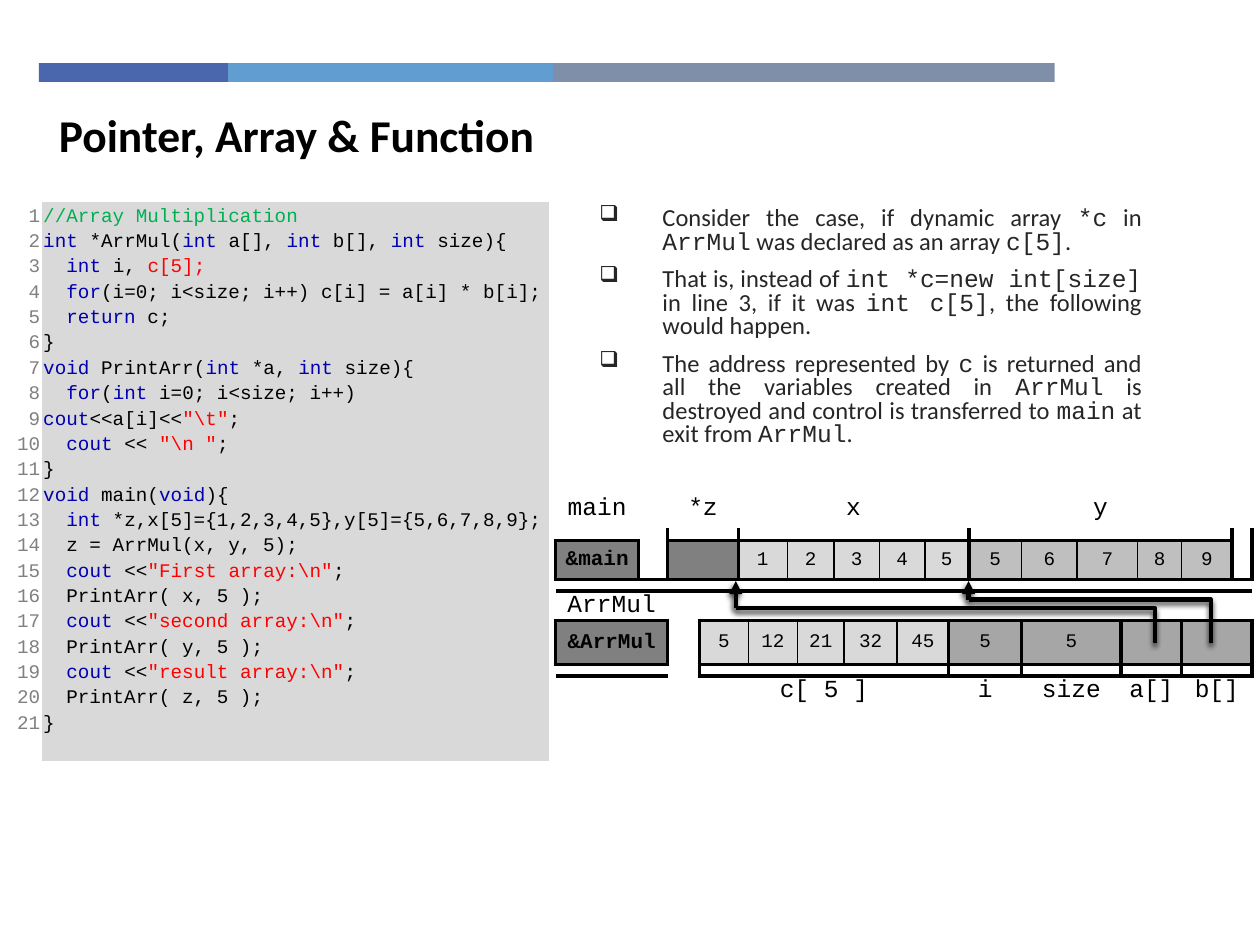
"""Builds the slide on returning a local array from a function."""
from lxml import etree
from pptx import Presentation
from pptx.dml.color import RGBColor
from pptx.enum.shapes import MSO_CONNECTOR, MSO_SHAPE
from pptx.enum.text import MSO_ANCHOR, PP_ALIGN
from pptx.oxml.ns import qn
from pptx.util import Pt

RECTANGLE = MSO_SHAPE.RECTANGLE
STRAIGHT, ELBOW = MSO_CONNECTOR.STRAIGHT, MSO_CONNECTOR.ELBOW
TOP, MIDDLE = MSO_ANCHOR.TOP, MSO_ANCHOR.MIDDLE
LEFT, CENTER, RIGHT, JUSTIFY = PP_ALIGN.LEFT, PP_ALIGN.CENTER, PP_ALIGN.RIGHT, PP_ALIGN.JUSTIFY
NO_GRID = "{2D5ABB26-0587-4C30-8999-92F81FD0307C}"
SANS, MONO = "Calibri", "Courier New"
BLACK, GRAY, BODY = "000000", "808080", "262626"
GREEN, BLUE, RED = "00B050", "0000B0", "FF0000"
X_FILL, Y_FILL, ARG_FILL = "D9D9D9", "BFBFBF", "A6A6A6"
KEYWORDS = {"int", "for", "return", "void", "cout"}

BARS = [(108, "4A66AC"), (185.8, "629DD1"), (286.6, "7F8FA9")]

POINTS = [
    "Consider the case, if dynamic array |*c| in |ArrMul| was declared as an array |c[5]|. ",
    "That is, instead of |int *c=new int[size] |in line 3, if it was |int c[5]|, the following would happen.",
    "The address represented by |c| is returned and all the variables created in |ArrMul"
    "| is destroyed and control is transferred to |main| at exit from |ArrMul|. ",
]

CODE = r"""//Array Multiplication
int| *ArrMul(|int| a[], |int| b[], |int| size){
  |int |i, |c[5];
  |for|(i=0; i<size; i++) c[i] = a[i] * b[i];
  |return| c;
}
void |PrintArr(|int| *a, |int| size){
  |for|(|int |i=0; i<size; i++) |cout|<<a[i]<<|"\t"|;
  |cout |<< |"\n "|;
}
void| main(|void|){
  |int| *z,x[5]={1,2,3,4,5},y[5]={5,6,7,8,9};
  z = ArrMul(x, y, 5);
  |cout |<<|"First array:\n"|;
  PrintArr( x, 5 );
  |cout |<<|"second array:\n"|;
  PrintArr( y, 5 );
  |cout |<<|"result array:\n"|;
  PrintArr( z, 5 );
}""".split("\n")

MEMORY_COLUMNS = [47.5, 16.6, 18, 22.3, 5.8, 22.3, 5.8, 20.9, 5.8, 20.2, 10.1,
                  15.8, 13.7, 11.5, 30.2, 31.7, 25.2, 9.4, 25.2, 28.8, 10.1]
MEMORY_ROWS = [21.6, 7.2, 22.3, 6.5, 16.6, 25.2, 6.5, 16.6, 3.6]


def color(value):
    """Turn a hex string into a colour."""
    return RGBColor.from_string(value)


def array_cells(values, spans, fill):
    """Describe neighbouring array items, thick outside and thin between."""
    last = len(values) - 1
    return [(span, value, fill, ("l" if i else "L") + "TB" + ("r" if i < last else "R"))
            for i, (value, span) in enumerate(zip(values, spans))]


def code_runs(line):
    """Colour the parts of one line of code."""
    def shade(part):
        if part.startswith("//"):
            return GREEN
        if part.startswith('"') or part == "c[5];":
            return RED
        return BLUE if part.strip() in KEYWORDS else BLACK
    return [(part, MONO, shade(part)) for part in line.split("|")]


def memory_rows():
    """List the cells of each memory row as span, text, fill and borders."""
    args = [(2, text, ARG_FILL, "LRTB") for text in ("5", "5", "", "")]
    return [
        [(1, "main"), (1, ""), (2, "*z"), (10, "x"), (6, "y"), (1, "")],
        [(1, "", None, "B"), (1, "", None, "R")]
        + [(span, "", None, "LRB") for span in (2, 10, 6)] + [(1, "", None, "L")],
        [(1, "&main", GRAY, "LRTB"), (1, "", None, "LR"), (2, "", GRAY, "LRTB")]
        + array_cells("12345", [2] * 5, X_FILL)
        + array_cells("56789", [1, 1, 2, 1, 1], Y_FILL) + [(1, "", None, "L")],
        [(21, "", None, "TB")],
        [(2, "ArrMul", None, "B"), (1, ""), (18, "", None, "B")],
        [(2, "&ArrMul", GRAY, "LRTB"), (1, "", None, "LR")]
        + array_cells(["5", "12", "21", "32", "45"], [2] * 5, X_FILL) + args,
        [(2, "", None, "TB"), (1, "", None, "R")]
        + [(span, "", None, "LRTB") for span in (10, 2, 2, 2, 2)],
        [(2, ""), (1, ""), (10, "c[ 5 ]")] + [(2, text) for text in ("i", "size", "a[]", "b[]")],
        [(21, "")],
    ]


class SlideBuilder:
    """Holds the current slide and draws each kind of element on it."""

    def __init__(self, slide):
        self.slide = slide

    def bar(self, left, top, width, height, fill):
        """Draw a plain filled rectangle."""
        bar = self.slide.shapes.add_shape(RECTANGLE, Pt(left), Pt(top), Pt(width), Pt(height))
        bar.shadow.inherit = False
        bar.fill.solid()
        bar.fill.fore_color.rgb = color(fill)
        bar.line.fill.background()

    def add_lines(self, frame, lines, size, align=LEFT, spacing=None, bold=False):
        """Add lines made of (text, font, colour) runs."""
        frame.word_wrap = True
        for i, line in enumerate(lines):
            paragraph = frame.add_paragraph() if i else frame.paragraphs[0]
            paragraph.alignment = align
            if spacing:
                paragraph.line_spacing = spacing
            for text, font, shade in line:
                run = paragraph.add_run()
                run.text = text
                run.font.name, run.font.size, run.font.bold = font, Pt(size), bold
                run.font.color.rgb = color(shade)

    def text(self, left, top, width, height, lines, size, **style):
        """Add a text box and return its paragraphs."""
        frame = self.slide.shapes.add_textbox(Pt(left), Pt(top), Pt(width), Pt(height)).text_frame
        self.add_lines(frame, lines, size, **style)
        return frame.paragraphs

    def bullets(self, left, top, width, height, lines, size):
        """Add a justified list with box bullets."""
        for paragraph in self.text(left, top, width, height, lines, size, align=JUSTIFY, spacing=0.8):
            paragraph.space_before = paragraph.space_after = Pt(4)
            props = paragraph._p.get_or_add_pPr()
            props.set("marL", str(Pt(36)))
            props.set("indent", str(Pt(-36)))
            etree.SubElement(props, qn("a:buSzPct"), val="90000")
            etree.SubElement(props, qn("a:buChar"), char="❑")

    def table(self, left, top, columns, rows):
        """Add a table without style or grid."""
        frame = self.slide.shapes.add_table(len(rows), len(columns), Pt(left), Pt(top),
                                            Pt(sum(columns)), Pt(sum(rows)))
        table = frame.table
        table.first_row = table.horz_banding = False
        table._tbl.tblPr.find(qn("a:tableStyleId")).text = NO_GRID
        for column, width in zip(table.columns, columns):
            column.width = Pt(width)
        for row, height in zip(table.rows, rows):
            row.height = Pt(height)
        return table

    def cell(self, cell, lines, size, fill=None, inset=(4.3, 0), anchor=MIDDLE, **style):
        """Fill one cell and add its lines."""
        cell.margin_left = cell.margin_right = Pt(inset[0])
        cell.margin_top = cell.margin_bottom = Pt(inset[1])
        cell.vertical_anchor = anchor
        if fill:
            cell.fill.solid()
            cell.fill.fore_color.rgb = color(fill)
        else:
            cell.fill.background()
        self.add_lines(cell.text_frame, lines, size, **style)
        if not lines:
            etree.SubElement(cell.text_frame.paragraphs[0]._p, qn("a:endParaRPr"), sz="100")

    def borders(self, cell, sides):
        """Draw borders, thick for capital letters and thin for small ones."""
        props = cell._tc.get_or_add_tcPr()
        for side in "LRTB":
            if side in sides.upper():
                width = Pt(2.25 if side in sides else 1)
                line = etree.SubElement(props, qn("a:ln" + side), w=str(width))
                solid = etree.SubElement(line, qn("a:solidFill"))
                etree.SubElement(solid, qn("a:srgbClr"), val=BLACK)

    def memory(self, left, top):
        """Draw the memory map of both functions."""
        table = self.table(left, top, MEMORY_COLUMNS, MEMORY_ROWS)
        for r, row in enumerate(memory_rows()):
            c = 0
            for span, text, *look in row:
                fill, sides = look or (None, "")
                for i in range(c, c + span):
                    part = table.cell(r, i)
                    self.borders(part, sides if i == c else "".join(s for s in sides if s in "TB"))
                    name = text.startswith("&")
                    size = 12 if name else 11 if r in (2, 5) else 14
                    lines = [[(text, MONO, BLACK)]] if text and i == c else []
                    self.cell(part, lines, size, fill, align=CENTER, bold=name)
                if span > 1:
                    table.cell(r, c).merge(table.cell(r, c + span - 1))
                c += span

    def connector(self, shapes, kind, start, end):
        """Add a black connector with a soft shadow and return its properties."""
        line = shapes.add_connector(kind, *map(Pt, start + end))
        line.line.width = Pt(2.5)
        line.line.color.rgb = color(BLACK)
        props = line._element.spPr
        effects = etree.SubElement(props, qn("a:effectLst"))
        shadow = etree.SubElement(effects, qn("a:outerShdw"), blurRad=str(Pt(3)), dist=str(Pt(2)),
                                  dir="6600000", algn="ctr", rotWithShape="0")
        shade = etree.SubElement(shadow, qn("a:srgbClr"), val=BLACK)
        etree.SubElement(shade, qn("a:alpha"), val="75000")
        return props

    def pointer(self, start, corner, tip):
        """Draw a pointer that rises, runs left and ends in an arrow."""
        shapes = self.slide.shapes.add_group_shape().shapes
        elbow = self.connector(shapes, ELBOW, start, corner)
        guides = elbow.find(qn("a:prstGeom")).find(qn("a:avLst"))
        etree.SubElement(guides, qn("a:gd"), name="adj1", fmla="val 0")
        arrow = self.connector(shapes, STRAIGHT, corner, tip)
        etree.SubElement(arrow.find(qn("a:ln")), qn("a:tailEnd"), type="triangle")


def main():
    """Build and save the slide."""
    deck = Presentation()
    deck.slide_width, deck.slide_height = Pt(720), Pt(540)
    builder = SlideBuilder(deck.slides.add_slide(deck.slide_layouts[6]))
    left = 22.3
    for width, fill in BARS:
        builder.bar(left, 36, width, 10.8, fill)
        left += width
    points = [[(text, MONO if i % 2 else SANS, BODY) for i, text in enumerate(point.split("|"))]
              for point in POINTS]
    builder.bullets(335.5, 115.2, 324, 169.2, points, 14)
    builder.memory(317.5, 280.1)
    for start_x, run_y, tip_x in [(660, 347.6, 420.5), (692, 342.7, 553.5)]:
        builder.pointer((start_x, 367.2), (tip_x, run_y), (tip_x, 332))
    listing = builder.table(2.2, 115.2, [21.6, 290.2], [305.3])
    numbers = [[(str(n), MONO, GRAY)] for n in range(1, len(CODE) + 2)]
    style = {"inset": (0.9, 0.7), "anchor": TOP, "spacing": 1.15}
    builder.cell(listing.cell(0, 0), numbers, 11, align=RIGHT, **style)
    builder.cell(listing.cell(0, 1), [code_runs(line) for line in CODE], 11, X_FILL, **style)
    builder.text(26.6, 57.6, 515.5, 38.9, [[("Pointer, Array & Function", SANS, BLACK)]], 26, bold=True)
    deck.save("out.pptx")


if __name__ == "__main__":
    main()
